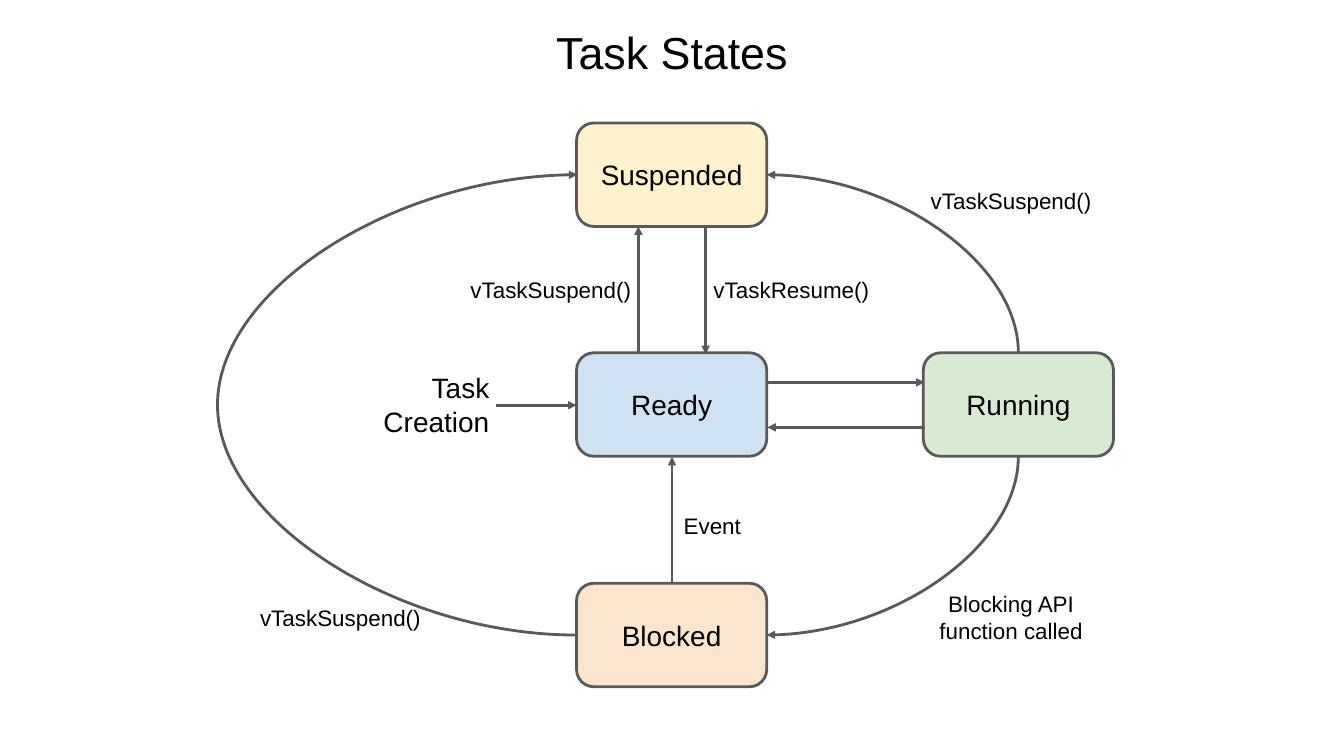
"""Build a slide with the state diagram of a task."""
from lxml.etree import SubElement
from pptx import Presentation
from pptx.dml.color import RGBColor
from pptx.enum.shapes import MSO_CONNECTOR, MSO_SHAPE
from pptx.enum.text import MSO_ANCHOR, PP_ALIGN
from pptx.oxml.ns import qn
from pptx.util import Emu, Pt

EMU_PER_PX = 9144
FONT = "Arial"
BLACK = RGBColor(0x00, 0x00, 0x00)
GREY = RGBColor(0x59, 0x59, 0x59)
YELLOW = RGBColor(0xFF, 0xF2, 0xCC)
BLUE = RGBColor(0xCF, 0xE2, 0xF3)
ORANGE = RGBColor(0xFC, 0xE5, 0xCD)
GREEN = RGBColor(0xD9, 0xEA, 0xD3)

STATE_WIDTH, STATE_HEIGHT = 283, 154
STATES = {
    "Suspended": (858, 183, YELLOW),
    "Ready": (858, 525, BLUE),
    "Blocked": (858, 868, ORANGE),
    "Running": (1374, 525, GREEN),
}
ARROWS = [
    ((738, 603), (858, 603)),
    ((950, 527), (950, 337)),
    ((1050, 337), (1050, 527)),
    ((1376, 636), (1142, 636)),
    ((1142, 569), (1376, 569)),
    ((1000, 868), (1000, 680)),
]
LABELS = [
    ("vTaskSuspend()", 689, 401, 261, 61),
    ("vTaskResume()", 1047, 401, 261, 61),
    ("vTaskSuspend()", 1374, 260, 261, 77),
    ("Blocking API function called", 1374, 876, 261, 85),
    ("Event", 1000, 743, 120, 77),
    ("vTaskSuspend()", 376, 888, 261, 61),
]
TOP, LEFT, BOTTOM, RIGHT = range(4)
LOOP_DEPTH = 543
HALF_TURN = 180 * 60000


def px(length):
    """Turn a length in px into EMU."""
    return Emu(length * EMU_PER_PX)


def write(shape, lines, size, align=PP_ALIGN.CENTER, anchor=MSO_ANCHOR.MIDDLE):
    """Fill a shape with one paragraph for each line."""
    frame = shape.text_frame
    frame.word_wrap = True
    frame.vertical_anchor = anchor
    frame.margin_left = frame.margin_right = px(10)
    frame.margin_top = frame.margin_bottom = px(10)
    for index, line in enumerate(lines):
        para = frame.add_paragraph() if index else frame.paragraphs[0]
        para.alignment = align
        span = para.add_run()
        span.text = line
        span.font.name = FONT
        span.font.size = Pt(size)
        span.font.color.rgb = BLACK


def set_title(page, text):
    """Place the title across the top of the page."""
    title = page.shapes.title
    title.left, title.top = px(0), px(0)
    title.width, title.height = px(2000), px(154)
    write(title, [text], 48)


def add_state(page, name, left, top, color):
    """Add the rounded box of one state."""
    box = page.shapes.add_shape(
        MSO_SHAPE.ROUNDED_RECTANGLE,
        px(left), px(top), px(STATE_WIDTH), px(STATE_HEIGHT),
    )
    box.shadow.inherit = False
    box.fill.solid()
    box.fill.fore_color.rgb = color
    box.line.color.rgb = GREY
    box.line.width = Pt(3)
    write(box, [name], 30)
    return box


def add_label(page, lines, left, top, width, height, size=24, **layout):
    """Add a text box."""
    box = page.shapes.add_textbox(px(left), px(top), px(width), px(height))
    write(box, lines, size, **layout)


def style_arrow(arrow, end):
    """Give a connector its line and a triangle at one end."""
    arrow.line.color.rgb = GREY
    arrow.line.width = Pt(3)
    SubElement(arrow.line._get_or_add_ln(), qn(f"a:{end}"), type="triangle")
    SubElement(arrow._element.spPr, qn("a:effectLst"))


def add_arrow(page, start, finish):
    """Add a straight arrow between two points."""
    arrow = page.shapes.add_connector(
        MSO_CONNECTOR.STRAIGHT, *map(px, start + finish)
    )
    style_arrow(arrow, "tailEnd")


def add_curve(page, first, first_side, last, last_side, end):
    """Add a curve glued to two states, with an arrowhead at one end."""
    curve = page.shapes.add_connector(MSO_CONNECTOR.CURVE, 0, 0, 0, 0)
    curve.begin_connect(first, first_side)
    curve.end_connect(last, last_side)
    style_arrow(curve, end)
    return curve


def add_quarter(page, target, source, source_side):
    """Add a quarter turn into the right side of the target."""
    curve = add_curve(page, target, RIGHT, source, source_side, "headEnd")
    curve._element.spPr.find(qn("a:prstGeom")).set("prst", "curvedConnector2")


def add_loop(page, source, target):
    """Add a wide loop between the left sides of two states."""
    curve = add_curve(page, source, LEFT, target, LEFT, "tailEnd")
    curve.width = px(1)
    frame = curve._element.spPr.find(qn("a:xfrm"))
    frame.set("rot", str(HALF_TURN))
    frame.set("flipH", "1")
    frame.set("flipV", "0")
    guides = curve._element.spPr.find(qn("a:prstGeom")).find(qn("a:avLst"))
    SubElement(guides, qn("a:gd"), name="adj1", fmla=f"val {-LOOP_DEPTH * 100000}")


def main():
    """Build the deck and save it."""
    deck = Presentation()
    deck.slide_width, deck.slide_height = px(2000), px(1125)
    page = deck.slides.add_slide(deck.slide_layouts[5])
    set_title(page, "Task States")
    states = {name: add_state(page, name, *place) for name, place in STATES.items()}
    add_label(
        page, ["Task", "Creation"], 558, 542, 180, 121, 30,
        align=PP_ALIGN.RIGHT, anchor=MSO_ANCHOR.TOP,
    )
    for start, finish in ARROWS:
        add_arrow(page, start, finish)
    add_quarter(page, states["Blocked"], states["Running"], BOTTOM)
    add_quarter(page, states["Suspended"], states["Running"], TOP)
    add_loop(page, states["Blocked"], states["Suspended"])
    for text, *place in LABELS:
        add_label(page, [text], *place)
    deck.save("out.pptx")


if __name__ == "__main__":
    main()
